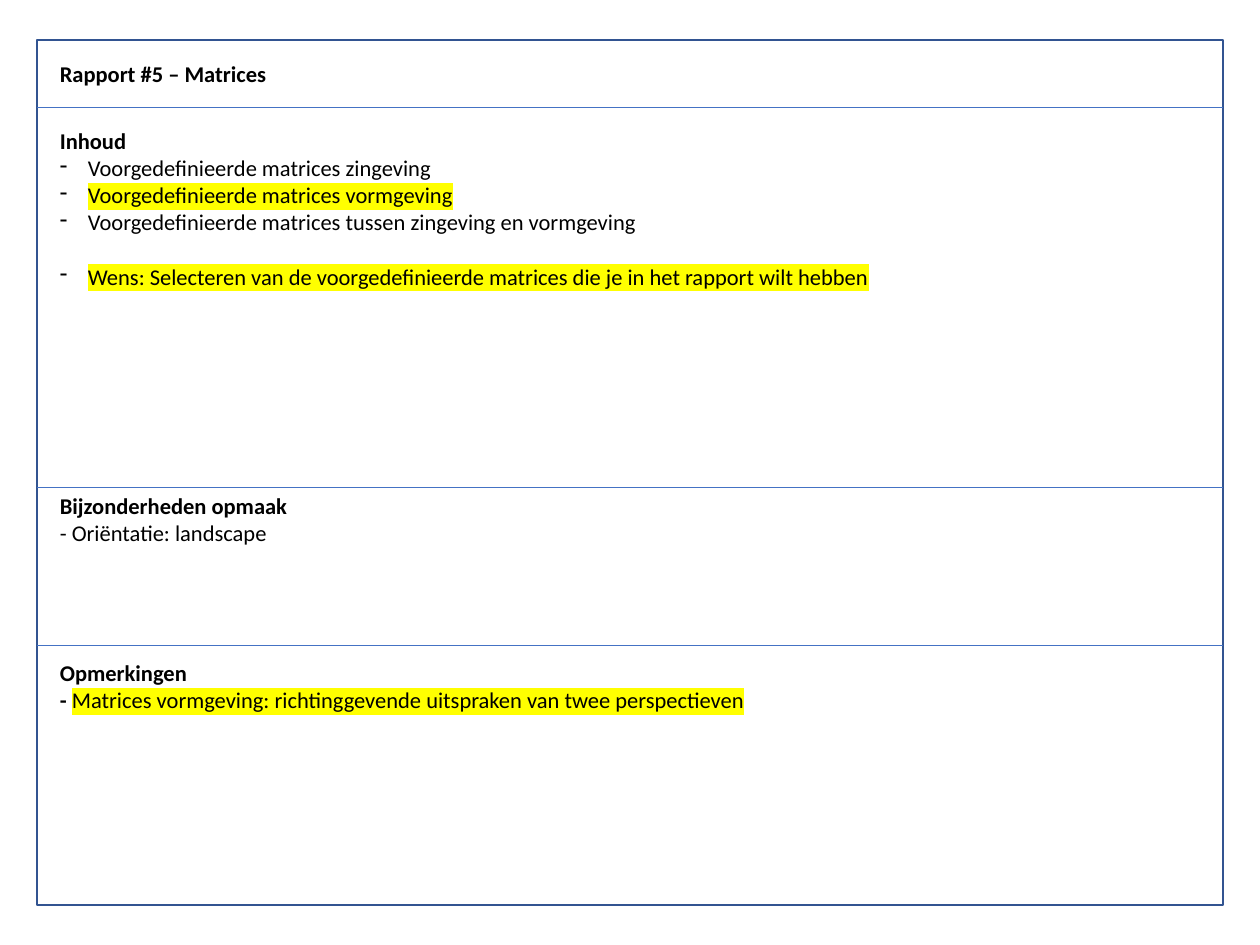
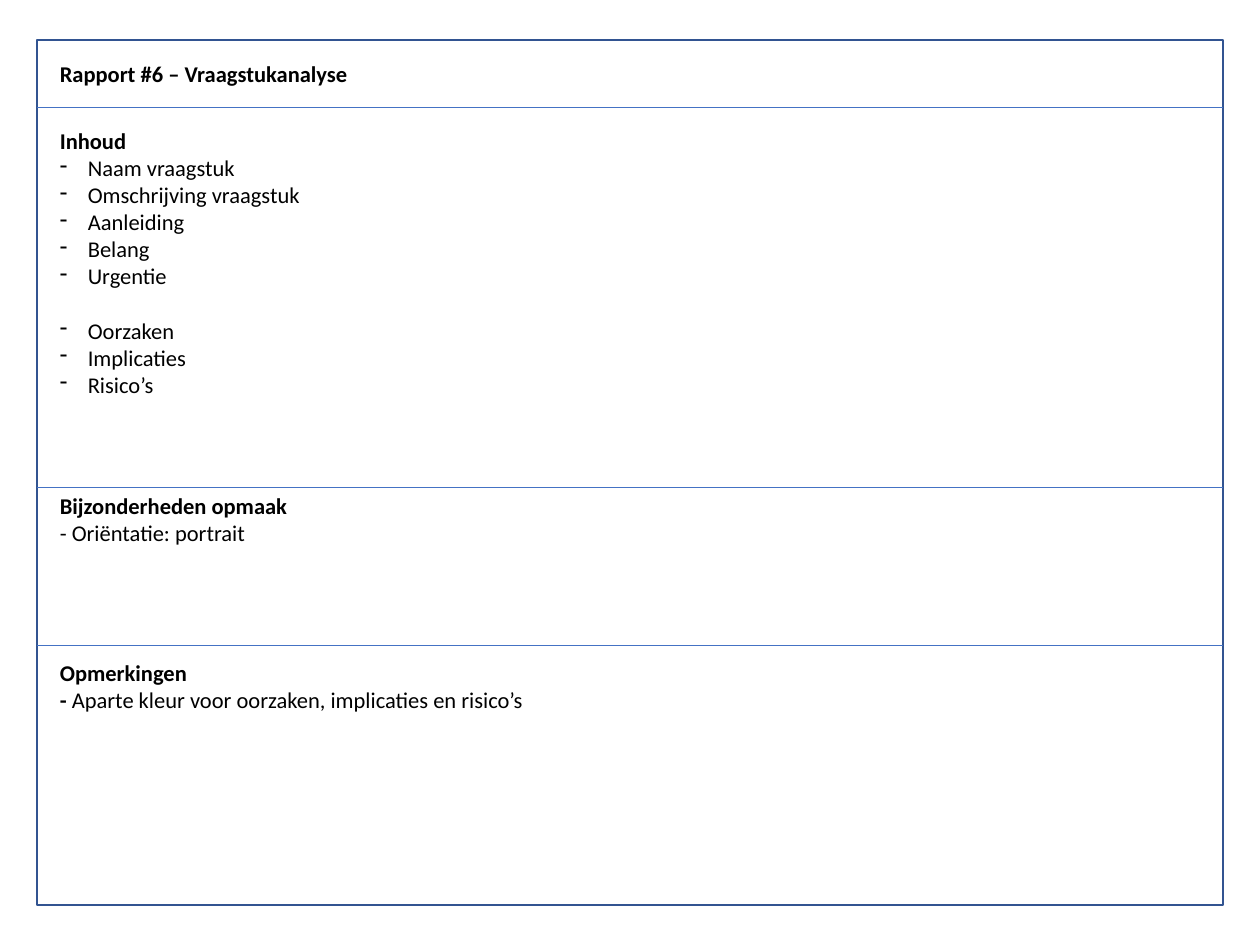
"""Builds two report description sheets with framed sections."""
import lxml.etree
import pptx
import pptx.dml.color
import pptx.enum.shapes
import pptx.enum.text
import pptx.oxml.ns
import pptx.util

REPORTS = [
    {
        "title": "Rapport #5 – Matrices",
        "title_width": 227,
        "contents_size": (837, 227),
        "contents": [
            [("Voorgedefinieerde matrices zingeving", False),
             ("Voorgedefinieerde matrices vormgeving", True),
             ("Voorgedefinieerde matrices tussen zingeving en vormgeving", False)],
            [("Wens: Selecteren van de voorgedefinieerde matrices die je in het rapport wilt hebben", True)],
        ],
        "layout": "- Oriëntatie: landscape",
        "remark": ("Matrices vormgeving: richtinggevende uitspraken van twee perspectieven", True),
        "remark_height": 173,
    },
    {
        "title": "Rapport #6 – Vraagstukanalyse",
        "title_width": 308,
        "contents_size": (261, 309),
        "contents": [
            [("Naam vraagstuk", False), ("Omschrijving vraagstuk", False),
             ("Aanleiding", False), ("Belang", False), ("Urgentie", False)],
            [("Oorzaken", False), ("Implicaties", False), ("Risico’s", False)],
        ],
        "layout": "- Oriëntatie: portrait",
        "remark": ("Aparte kleur voor oorzaken, implicaties en risico’s", False),
        "remark_height": 118,
    },
]

COLORS = {"frame": "325491", "divider": "4472C4", "text": "000000", "marker": "FFFF00"}
FONT = "Calibri"
TEXT_SIZE = 18
LINE_HEIGHT = 22
PX = 914400 // 90
SLIDE_SIZE = (1260, 945)
FRAME = (37, 40, 1186, 865)
DIVIDERS = (107, 487, 645)
TEXT_LEFT = 51
BULLET_INDENT = 28


def px(length):
    return pptx.util.Emu(length * PX)


def color(name):
    return pptx.dml.color.RGBColor.from_string(COLORS[name])


def add_child(parent, tag, **attributes):
    return lxml.etree.SubElement(parent, pptx.oxml.ns.qn(tag), **attributes)


def add_frame(slide):
    left, top, width, height = FRAME
    frame = slide.shapes.add_shape(
        pptx.enum.shapes.MSO_SHAPE.RECTANGLE, px(left), px(top), px(width), px(height))
    frame.shadow.inherit = False
    frame.fill.background()
    frame.line.color.rgb = color("frame")
    frame.line.width = pptx.util.Pt(1)
    for y in DIVIDERS:
        divider = slide.shapes.add_connector(
            pptx.enum.shapes.MSO_CONNECTOR.STRAIGHT, px(left), px(y), px(left + width), px(y))
        divider.line.color.rgb = color("divider")
        divider.line.width = pptx.util.Pt(0.5)
        add_child(divider.element.spPr, "a:effectLst")


def add_span(para, text, bold=False, marked=False):
    span = para.add_run()
    span.text = text
    span.font.name = FONT
    span.font.size = pptx.util.Pt(TEXT_SIZE)
    span.font.bold = bold
    span.font.color.rgb = color("text")
    if marked:
        properties = span.font._element
        highlight = add_child(properties, "a:highlight")
        add_child(highlight, "a:srgbClr", val=COLORS["marker"])
        properties.find(pptx.oxml.ns.qn("a:solidFill")).addnext(highlight)


def add_section(slide, heading, top, width, height, wrap=True):
    box = slide.shapes.add_textbox(px(TEXT_LEFT), px(top), px(width), px(height))
    frame = box.text_frame
    frame.word_wrap = wrap
    frame.auto_size = pptx.enum.text.MSO_AUTO_SIZE.SHAPE_TO_FIT_TEXT
    add_span(frame.paragraphs[0], heading, bold=True)
    return frame


def add_bullets(frame, groups):
    for group_number, group in enumerate(groups):
        for item_number, (text, marked) in enumerate(group):
            para = frame.add_paragraph()
            if group_number and not item_number:
                para.space_before = pptx.util.Pt(LINE_HEIGHT)
            properties = para._p.get_or_add_pPr()
            properties.set("marL", str(px(BULLET_INDENT)))
            properties.set("indent", str(-px(BULLET_INDENT)))
            add_child(properties, "a:buFontTx")
            add_child(properties, "a:buChar", char="-")
            add_span(para, text, marked=marked)


def add_report(deck, report):
    slide = deck.slides.add_slide(deck.slide_layouts[6])
    add_frame(slide)
    add_section(slide, report["title"], 56, report["title_width"], 36, wrap=False)
    contents = add_section(slide, "Inhoud", 123, *report["contents_size"], wrap=False)
    add_bullets(contents, report["contents"])
    layout = add_section(slide, "Bijzonderheden opmaak", 488, 1172, 64)
    add_span(layout.add_paragraph(), report["layout"])
    remarks = add_section(slide, "Opmerkingen", 655, 1132, report["remark_height"])
    para = remarks.add_paragraph()
    add_span(para, "- ", bold=True)
    text, marked = report["remark"]
    add_span(para, text, marked=marked)


def main():
    deck = pptx.Presentation()
    deck.slide_width, deck.slide_height = map(px, SLIDE_SIZE)
    for report in REPORTS:
        add_report(deck, report)
    deck.save("out.pptx")


if __name__ == "__main__":
    main()
